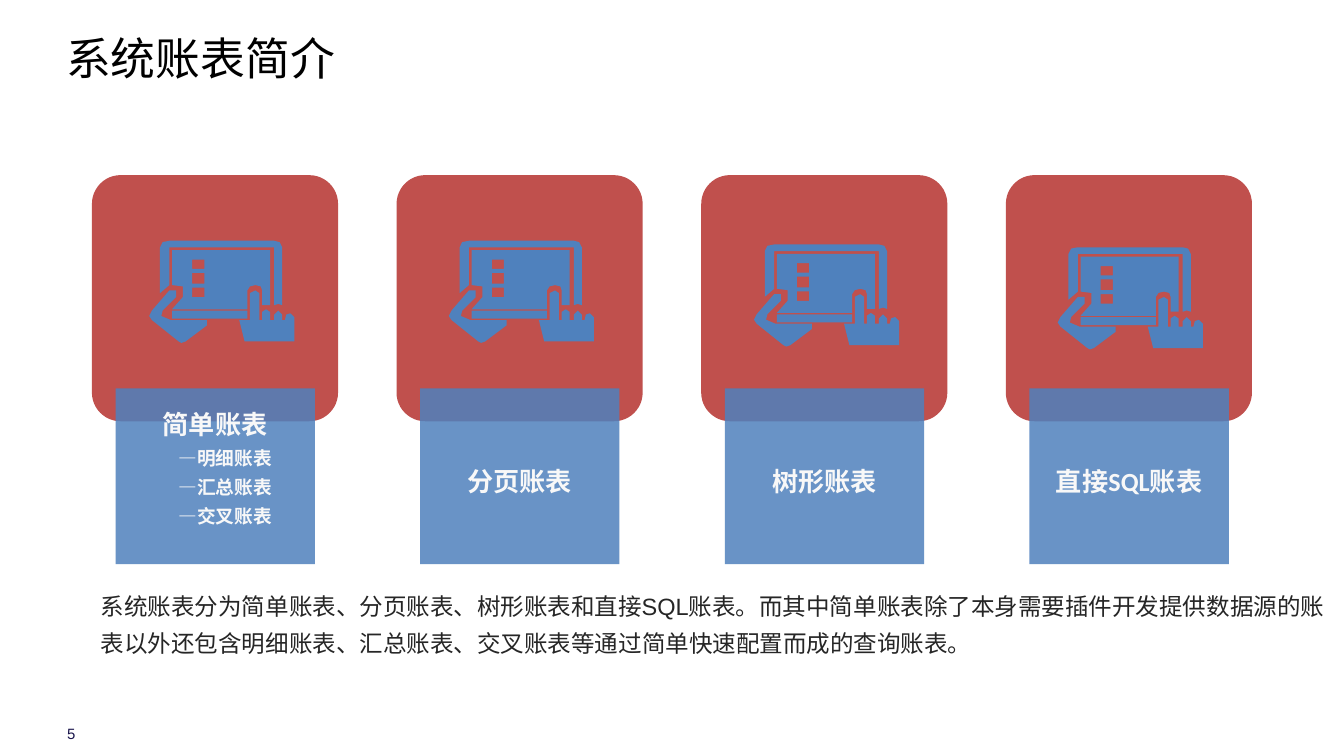
from lxml import etree
from pptx import Presentation
from pptx.dml.color import RGBColor
from pptx.enum.shapes import MSO_SHAPE
from pptx.enum.text import MSO_ANCHOR, PP_ALIGN
from pptx.oxml.ns import qn
from pptx.util import Pt

RED = RGBColor(0xC0, 0x50, 0x4D)
BLUE = RGBColor(0x4F, 0x81, 0xBD)
PALE = RGBColor(0xF8, 0xF8, 0xF8)
BLACK = RGBColor(0, 0, 0)
DARK = RGBColor(0x26, 0x26, 0x26)
NAVY = RGBColor(0x1A, 0x15, 0x4C)

RECT, ROUND = MSO_SHAPE.RECTANGLE, MSO_SHAPE.ROUNDED_RECTANGLE
TOP, MIDDLE = MSO_ANCHOR.TOP, MSO_ANCHOR.MIDDLE
LEFT, CENTER = PP_ALIGN.LEFT, PP_ALIGN.CENTER

# Card row: left edge of the first card and the step between cards
FIRST, STEP, SIDE = 50.4, 163.2, 129.6
CARDS = [
    ("简单账表", ["—明细账表", "—汇总账表", "—交叉账表"], (78.5, 129)),
    ("分页账表", [], (239, 129)),
    ("树形账表", [], (402.5, 131)),
    ("直接SQL账表", [], (565.2, 132.5)),
]


def block(x1, y1, x2, y2):
    return [(x1, y1), (x2, y1), (x2, y2), (x1, y2)]


# Icon outlines on a grid
UNIT = Pt(0.72)
FRAME = [
    (17, 33), (17, 5), (95, 5), (95, 48), (98, 47), (101, 48), (101, 5),
    (99, 1), (95, 0), (17, 0), (12, 1), (10, 5), (10, 39),
]
SCREEN = [
    (92, 48), (92, 7), (19, 7), (19, 33), (27, 34.5), (27, 42), (19, 51),
    (75, 51), (75, 37), (77, 34), (81, 33), (85, 34), (86, 37), (86, 48),
]
POINTER = [
    (107, 54), (104, 55), (103, 59), (101, 59), (101, 55), (98, 52),
    (95, 55), (95, 59), (92, 59), (92, 53), (89, 51), (86, 53), (86, 59),
    (84, 59), (84, 39), (81, 37), (77, 39), (77, 59), (69, 59), (73, 75),
    (110, 75), (110, 57),
]
HOLDER = [
    (12, 52), (22, 42), (22, 37), (17, 37), (4, 52), (2, 56), (4, 59),
    (24, 75), (26.5, 76), (29, 75), (45, 63), (45, 59), (18, 59), (11, 56),
]
DOTS = [block(34, y, 43, y + 7) for y in (14, 24.5, 35)]
ICON = [FRAME, SCREEN, *DOTS, block(19, 52, 75, 58), POINTER, HOLDER]


def paint(shape, color):
    shape.shadow.inherit = False
    shape.fill.solid()
    shape.fill.fore_color.rgb = color
    shape.line.fill.background()


def add_icon(slide, x, y):
    pen = slide.shapes.build_freeform(*ICON[0][0], scale=UNIT)
    for points in ICON:
        scaled = [(px, py) for px, py in points]
        if points is not FRAME:
            pen.move_to(*scaled[0])
        pen.add_line_segments(scaled[1:])
    paint(pen.convert_to_shape(Pt(x), Pt(y)), BLUE)


def add_shape(slide, kind, x, y, w, h, color):
    shape = slide.shapes.add_shape(kind, Pt(x), Pt(y), Pt(w), Pt(h))
    paint(shape, color)
    return shape


def style(para, text, size, font, color, bold=False, align=LEFT, space=1.0):
    para.text = text
    para.alignment = align
    para.line_spacing = space
    para.font.size = Pt(size)
    para.font.name = font
    para.font.bold = bold
    para.font.color.rgb = color


def add_text(slide, x, y, w, h, text, size, font, color, space=1.0, anchor=TOP):
    box = slide.shapes.add_textbox(Pt(x), Pt(y), Pt(w), Pt(h))
    frame = box.text_frame
    frame.word_wrap = True
    frame.vertical_anchor = anchor
    frame.margin_left = frame.margin_right = 0
    frame.margin_top = frame.margin_bottom = 0
    style(frame.paragraphs[0], text, size, font, color, space=space)


def add_card(slide, x):
    card = add_shape(slide, ROUND, x, 95, SIDE, SIDE, RED)
    card.adjustments[0] = 0.11
    card.line.color.rgb = RED
    card.line.width = Pt(2.25)


def add_label(slide, x, name, items):
    label = add_shape(slide, RECT, x, 208, 106.8, 94.3, BLUE)
    tint = label.fill._xPr.find(qn("a:solidFill"))[0]
    etree.SubElement(tint, qn("a:alpha"), val="85000")
    frame = label.text_frame
    frame.word_wrap = True
    frame.vertical_anchor = TOP if items else MIDDLE
    if items:
        frame.margin_top = Pt(6)
    style(frame.paragraphs[0], name, 14, "Calibri", PALE, True, CENTER, 1.3)
    for item in items:
        para = frame.add_paragraph()
        para._p.get_or_add_pPr().set("marL", str(Pt(10.8)))
        style(para, item, 10, "Arial Narrow", PALE, True, CENTER, 1.3)


def main():
    deck = Presentation()
    deck.slide_width, deck.slide_height = Pt(720), Pt(405)
    slide = deck.slides.add_slide(deck.slide_layouts[6])

    # Title
    add_text(slide, 35.5, 16.5, 662, 41, "系统账表简介", 24, "Noto Sans CJK SC", BLACK)

    # Four cards, each with a label and an icon
    for i, (name, items, spot) in enumerate(CARDS):
        x = FIRST + i * STEP
        add_card(slide, x)
        add_label(slide, x + 11.5, name, items)
        add_icon(slide, *spot)

    # Summary and page number
    add_text(slide, 54, 312.5, 657.4, 43,
             "系统账表分为简单账表、分页账表、树形账表和直接SQL账表。"
             "而其中简单账表除了本身需要插件开发提供数据源的账表以外"
             "还包含明细账表、汇总账表、交叉账表等通过简单快速配置而成的查询账表。",
             12.6, "Arial", DARK, space=1.3)
    add_text(slide, 36, 388, 18, 10, "5", 8, "Arial", NAVY, anchor=MIDDLE)

    deck.save("out.pptx")


if __name__ == "__main__":
    main()
